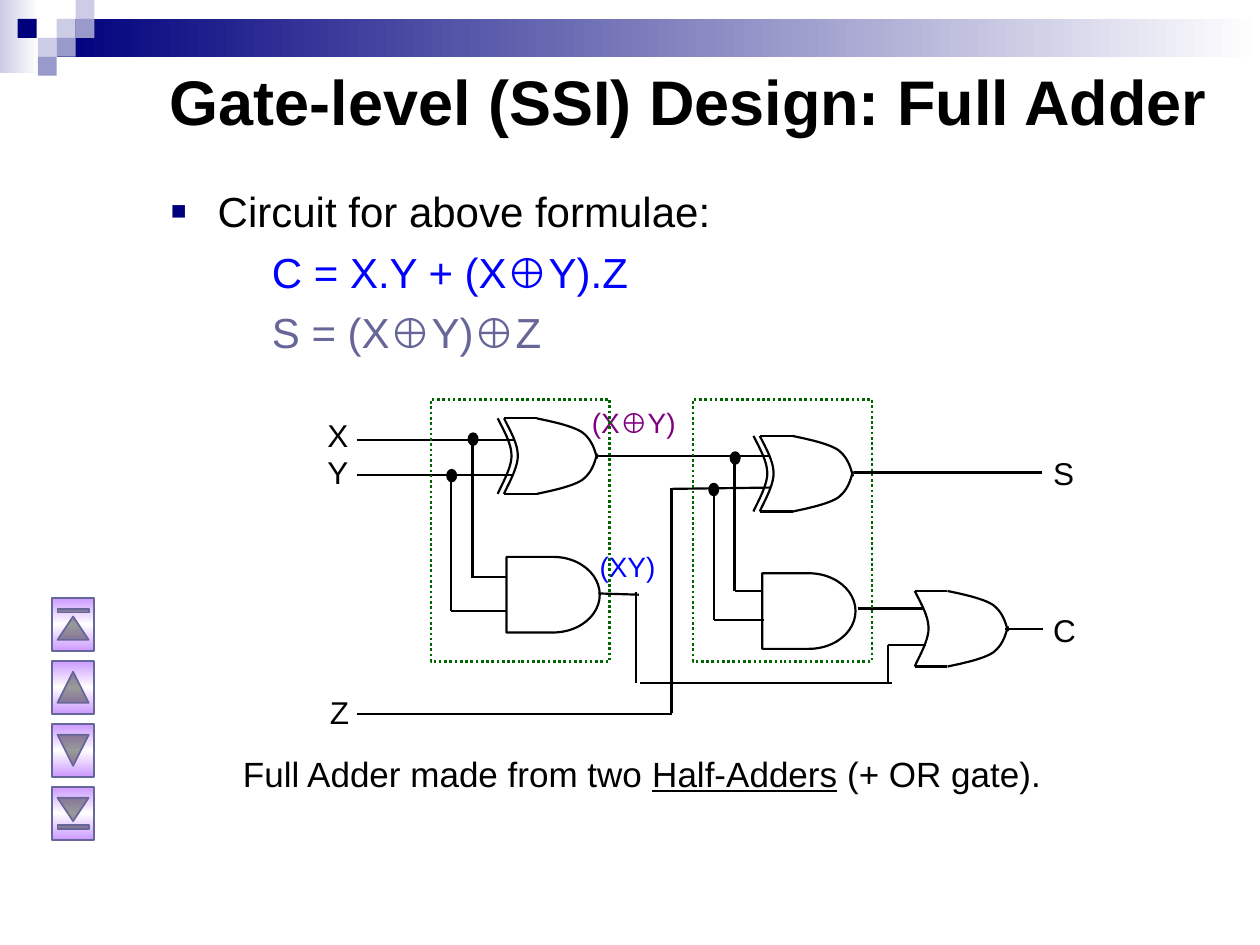
from lxml.etree import SubElement
from pptx import Presentation
from pptx.dml.color import RGBColor
from pptx.enum.dml import MSO_LINE
from pptx.enum.shapes import MSO_CONNECTOR, MSO_SHAPE
from pptx.enum.text import MSO_ANCHOR, PP_ALIGN
from pptx.oxml.ns import qn
from pptx.util import Emu, Pt

EMU_PER_PX = 9144  # 100 px to the inch
FONT = "Arial"
BLACK, NAVY, LILAC, LAVENDER = "000000", "00007D", "CCCCE6", "9999CC"
BLUE, SLATE, PURPLE, GREEN = "0000FF", "666699", "800080", "006600"
WIRE = 1.25
CURVE_STEPS = 12


def px(value):
    return Emu(round(value * EMU_PER_PX))


def color(value):
    return RGBColor.from_string(value)


def bezier(start, control_1, control_2, end):
    """Points along a cubic curve, without its start."""
    for step in range(1, CURVE_STEPS + 1):
        t = step / CURVE_STEPS
        weights = ((1 - t) ** 3, 3 * t * (1 - t) ** 2, 3 * t * t * (1 - t), t ** 3)
        yield tuple(
            sum(weight * point[axis] for weight, point
                in zip(weights, (start, control_1, control_2, end)))
            for axis in (0, 1))


class SlideBuilder:
    def __init__(self, slide):
        self.slide = slide
        self.shapes = slide.shapes

    def outline(self, shape, line, width, dash=None):
        if line is None:
            shape.line.fill.background()
            return
        shape.line.color.rgb = color(line)
        shape.line.width = Pt(width)
        if dash:
            shape.line.dash_style = dash

    def shape(self, kind, left, top, width, height, fill=None, line=None,
              line_width=WIRE, dash=None):
        shape = self.shapes.add_shape(kind, px(left), px(top), px(width), px(height))
        shape.shadow.inherit = False
        if fill:
            shape.fill.solid()
            shape.fill.fore_color.rgb = color(fill)
        else:
            shape.fill.background()
        self.outline(shape, line, line_width, dash)
        return shape

    def gradient(self, shape, colors, angle=0):
        shape.fill.gradient()
        gradient = shape._element.spPr.find(qn("a:gradFill"))
        gradient.set("rotWithShape", "0")
        stops = gradient.find(qn("a:gsLst"))
        for stop in list(stops):
            stops.remove(stop)
        for index, value in enumerate(colors):
            position = 100000 * index // (len(colors) - 1)
            stop = SubElement(stops, qn("a:gs"), pos=str(position))
            SubElement(stop, qn("a:srgbClr"), val=value)
        gradient.find(qn("a:lin")).set("ang", str(angle * 60000))

    def wire(self, x1, y1, x2, y2):
        connector = self.shapes.add_connector(
            MSO_CONNECTOR.STRAIGHT, px(x1), px(y1), px(x2), px(y2))
        self.outline(connector, BLACK, WIRE)
        SubElement(connector._element.spPr, qn("a:effectLst"))

    def curve(self, start, *segments):
        points, current = [], start
        for segment in segments:
            points.extend(bezier(current, *segment))
            current = segment[-1]
        builder = self.shapes.build_freeform(px(start[0]), px(start[1]), scale=1.0)
        builder.add_line_segments([(px(x), px(y)) for x, y in points], close=False)
        shape = builder.convert_to_shape()
        shape.shadow.inherit = False
        shape.fill.background()
        self.outline(shape, BLACK, WIRE)

    def text(self, left, top, width, height, paragraphs, size, anchor=MSO_ANCHOR.TOP):
        """Each paragraph is a list of (text, colour, font settings)."""
        box = self.shapes.add_textbox(px(left), px(top), px(width), px(height))
        frame = box.text_frame
        frame.word_wrap = True
        frame.vertical_anchor = anchor
        for index, runs in enumerate(paragraphs):
            paragraph = frame.paragraphs[0] if index == 0 else frame.add_paragraph()
            paragraph.alignment = PP_ALIGN.LEFT
            for content, value, settings in runs:
                run = paragraph.add_run()
                run.text = content
                run.font.name = FONT
                run.font.size = Pt(size)
                run.font.color.rgb = color(value)
                for name, setting in settings.items():
                    setattr(run.font, name, setting)
        return frame

    def indent(self, paragraph, margin, hanging=0, bullet=None):
        properties = paragraph._p.get_or_add_pPr()
        properties.set("marL", str(px(margin)))
        properties.set("indent", str(px(-hanging)))
        if bullet:
            bullet_color = SubElement(properties, qn("a:buClr"))
            SubElement(bullet_color, qn("a:srgbClr"), val=NAVY)
            SubElement(properties, qn("a:buSzPct"), val="120000")
            SubElement(properties, qn("a:buFont"), typeface=FONT)
            SubElement(properties, qn("a:buChar"), char=bullet)

    def or_gate(self, x, y, exclusive=False):
        for back in (x, x - 5) if exclusive else (x,):
            self.curve((back, y),
                       ((back + 5, y + 10), (back + 11, y + 20), (back + 11, y + 30)),
                       ((back + 11, y + 40), (back + 2, y + 55), (back, y + 60)))
        for edge, sign in ((y, 1), (y + 60, -1)):
            self.wire(x, edge, x + 26, edge)
            self.curve((x + 26, edge),
                       ((x + 40, edge + 3 * sign), (x + 54, edge + 6 * sign),
                        (x + 62, edge + 11 * sign)),
                       ((x + 70, edge + 17 * sign), (x + 72, edge + 25 * sign),
                        (x + 74, edge + 32 * sign)))

    def and_gate(self, x, y):
        self.shape(MSO_SHAPE.FLOWCHART_DELAY, x, y, 74, 60, line=BLACK)

    def junction(self, x, y):
        self.shape(MSO_SHAPE.OVAL, x, y, 7, 9, fill=BLACK, line=BLACK)


def main():
    presentation = Presentation()
    presentation.slide_width, presentation.slide_height = px(1000), px(750)
    builder = SlideBuilder(presentation.slides.add_slide(presentation.slide_layouts[6]))

    # Banner and mosaic squares
    for box, start in (((0, 0, 31, 58), LILAC), ((45, 15, 955, 30), NAVY)):
        banner = builder.shape(MSO_SHAPE.RECTANGLE, *box)
        builder.gradient(banner, (start, "FFFFFF"))
    for x, y, fill in ((45, 15, LILAC), (60, 0, LILAC), (60, 15, LAVENDER),
                       (30, 30, LILAC), (14, 15, NAVY), (45, 30, LAVENDER),
                       (30, 45, LAVENDER)):
        builder.shape(MSO_SHAPE.RECTANGLE, x, y, 15, 15, fill)

    # Title, formulae and caption
    builder.text(125, 17, 850, 125,
                 [[("Gate-level (SSI) Design: Full Adder", BLACK, {"bold": True})]],
                 36, MSO_ANCHOR.MIDDLE)
    body = builder.text(125, 142, 833, 150,
                        [[("Circuit for above formulae:", BLACK, {})],
                         [("C = X.Y + (X⊕Y).Z", BLUE, {})],
                         [("S = (X⊕Y)⊕Z", SLATE, {})]], 24)
    heading, *formulae = body.paragraphs
    builder.indent(heading, 38, 38, "▪")
    for formula in formulae:
        builder.indent(formula, 81)
        formula.space_before = Pt(6)
    builder.text(183, 592, 667, 58,
                 [[("Full Adder made from two ", BLACK, {}),
                   ("Half-Adders", BLACK, {"underline": True}),
                   (" (+ OR gate).", BLACK, {})]], 20)

    # Navigation buttons, turned to point up and down
    buttons = (MSO_SHAPE.ACTION_BUTTON_BEGINNING, MSO_SHAPE.ACTION_BUTTON_BACK_OR_PREVIOUS,
               MSO_SHAPE.ACTION_BUTTON_FORWARD_OR_NEXT, MSO_SHAPE.ACTION_BUTTON_END)
    for index, kind in enumerate(buttons):
        button = builder.shape(kind, 37, 479 + 50 * index, 42, 33, line=SLATE, line_width=1)
        button.rotation = 90
        builder.gradient(button, ("CC99FF", "FFFFFF", "CC99FF"), 90)

    # Gates
    builder.or_gate(400, 332, exclusive=True)
    builder.or_gate(603, 346, exclusive=True)
    builder.or_gate(726, 469)
    builder.and_gate(402, 442)
    builder.and_gate(605, 455)

    # Wires: first half-adder, second half-adder, carry, then Z
    for ends in ((283, 349, 408, 349), (283, 377, 408, 377), (473, 362, 611, 362),
                 (375, 350, 375, 459), (375, 458, 402, 458),
                 (358, 377, 358, 485), (358, 485, 402, 485), (475, 471, 507, 472),
                 (533, 388, 611, 387), (678, 375, 827, 375),
                 (583, 360, 583, 469), (583, 469, 604, 469),
                 (567, 383, 567, 492), (567, 492, 606, 492), (681, 483, 733, 483),
                 (505, 542, 505, 470), (508, 542, 708, 542), (705, 542, 705, 512),
                 (705, 512, 735, 512), (798, 499, 828, 499),
                 (283, 567, 533, 567), (533, 387, 533, 566)):
        builder.wire(*ends)
    for x, y in ((355, 373), (372, 344), (563, 384), (580, 359)):
        builder.junction(x, y)

    # Signal labels
    for x, y, width, height, names, value, size in (
            (250, 325, 42, 60, "X Y", BLACK, 18), (826, 355, 42, 38, "S", BLACK, 18),
            (826, 480, 42, 38, "C", BLACK, 18), (252, 545, 42, 38, "Z", BLACK, 18),
            (460, 317, 90, 38, "(X⊕Y)", PURPLE, 16), (466, 431, 69, 38, "(XY)", BLUE, 16)):
        lines = [[(name, value, {})] for name in names.split()]
        builder.text(x, y, width, height, lines, size)

    # Half-adder frames
    for x in (342, 550):
        builder.shape(MSO_SHAPE.RECTANGLE, x, 317, 142, 208, line=GREEN,
                      line_width=1.5, dash=MSO_LINE.ROUND_DOT)

    presentation.save("out.pptx")


if __name__ == "__main__":
    main()
